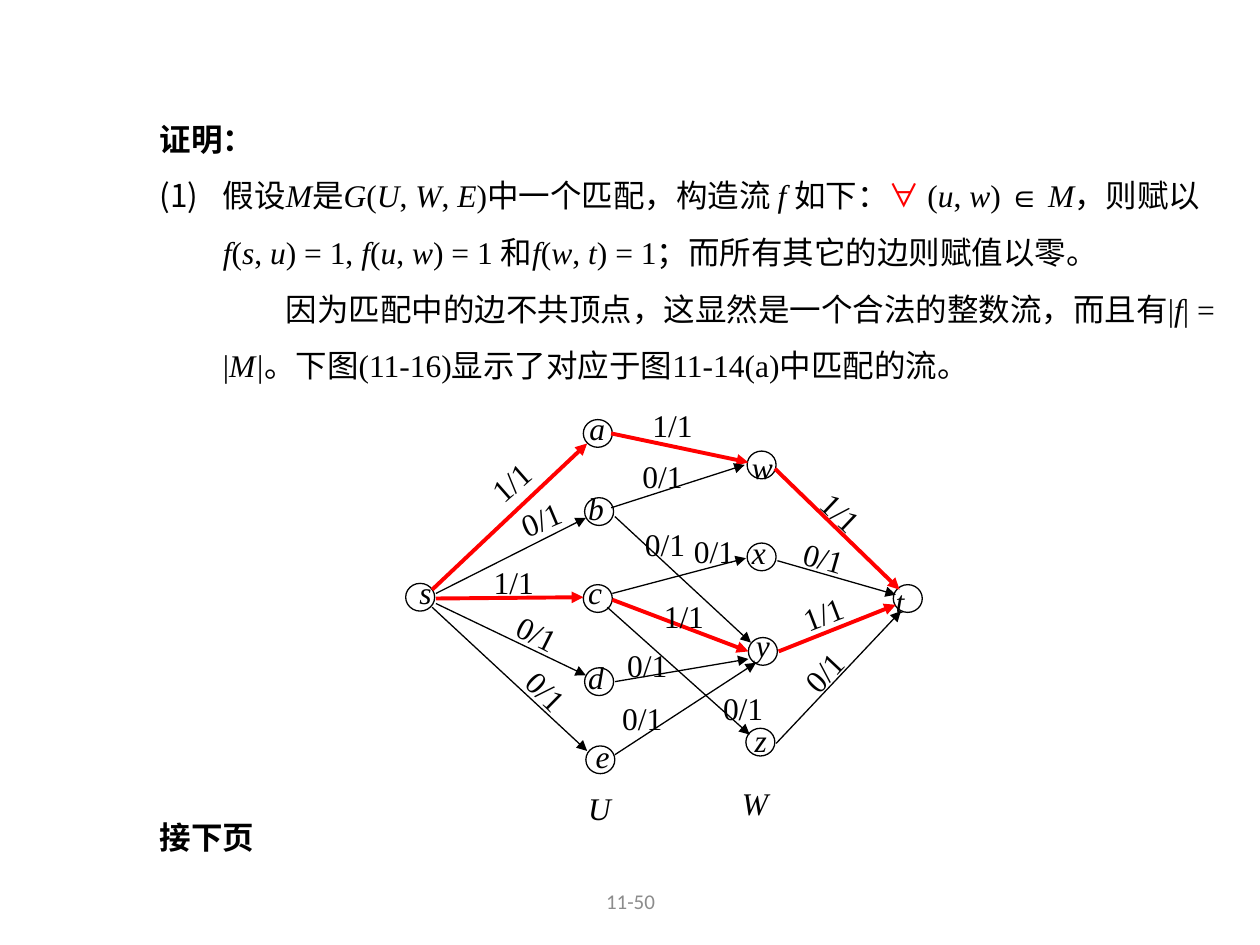
from lxml import etree
from pptx import Presentation
from pptx.dml.color import RGBColor
from pptx.enum.shapes import MSO_CONNECTOR, MSO_SHAPE
from pptx.enum.text import MSO_ANCHOR, MSO_AUTO_SIZE, PP_ALIGN
from pptx.oxml.ns import qn
from pptx.util import Inches, Pt

LINE = MSO_CONNECTOR.STRAIGHT
OVAL = MSO_SHAPE.OVAL
MIDDLE = MSO_ANCHOR.MIDDLE
GROW = MSO_AUTO_SIZE.SHAPE_TO_FIT_TEXT
CENTER = PP_ALIGN.CENTER
COLORS = {"ink": "000000", "flow": "FF0000", "page": "8C8C8C"}
SERIF = "Times New Roman"
SANS = "Calibri"

PROOF = [
    "证明：",
    "假设*M*是*G*(*U*, *W*, *E*)中一个匹配，构造流 *f *如下：**∀ **(*u*, *w*) ∈ *M*，则赋以"
    "*f*(*s*, *u*) = 1, *f*(*u*, *w*) = 1 和*f*(*w*, *t*) = 1；而所有其它的边则赋值以零。",
    "因为匹配中的边不共顶点，这显然是一个合法的整数流，而且有|*f*| = |*M|*"
    "。下图(11-16)显示了对应于图11-14(a)中匹配的流。",
]

# name, circle left and top, label left and top
NODES = [
    ("s", 3.22, 4.63, 3.23, 4.5),
    ("a", 4.63, 3.33, 4.58, 3.2),
    ("b", 4.64, 3.95, 4.57, 3.83),
    ("c", 4.63, 4.64, 4.57, 4.5),
    ("d", 4.64, 5.3, 4.57, 5.17),
    ("e", 4.65, 5.92, 4.63, 5.8),
    ("w", 5.93, 3.58, 5.87, 3.51),
    ("x", 5.93, 4.31, 5.87, 4.18),
    ("y", 5.94, 5.06, 5.9, 4.92),
    ("z", 5.92, 5.78, 5.89, 5.67),
    ("t", 7.09, 4.64, 7.01, 4.57),
]

# flow, start, end, label left and top, label angle
EDGES = [
    (1, (3.43, 4.68), (4.66, 3.52), (3.77, 3.63), 318.7),
    (0, (3.46, 4.71), (4.65, 4.11), (4.02, 3.92), 337.1),
    (1, (3.46, 4.75), (4.63, 4.74), (3.82, 4.42), 0),
    (0, (3.46, 4.79), (4.65, 5.36), (4.02, 4.83), 26.7),
    (0, (3.43, 4.82), (4.66, 5.96), (4.1, 5.3), 44.5),
    (1, (4.85, 3.44), (5.94, 3.67), (5.08, 3.17), 0),
    (0, (4.85, 4.03), (5.91, 3.69), (5, 3.58), 0),
    (0, (4.88, 4.1), (5.96, 5.1), (5.02, 4.12), 0),
    (0, (4.86, 4.71), (5.92, 4.43), (5.41, 4.17), 0),
    (1, (4.86, 4.76), (5.94, 5.17), (5.17, 4.69), 0),
    (0, (4.82, 4.82), (5.95, 5.83), (5.64, 5.42), 0),
    (0, (4.88, 5.41), (5.94, 5.23), (4.88, 5.08), 0),
    (0, (4.88, 5.99), (6, 5.26), (4.84, 5.5), 0),
    (1, (6.15, 3.72), (7.14, 4.68), (6.44, 3.88), 43.3),
    (0, (6.17, 4.45), (7.11, 4.72), (6.29, 4.23), 15.9),
    (1, (6.18, 5.17), (7.11, 4.8), (6.26, 4.67), 339),
    (0, (6.16, 5.9), (7.15, 4.85), (6.25, 5.14), 313.2),
]


def rgb(name):
    return RGBColor.from_string(COLORS[name])


def style(font, face=SERIF, size=18, color="ink", bold=False, italic=False):
    font.name = face
    font.size = Pt(size)
    font.color.rgb = rgb(color)
    font.bold = bold
    font.italic = italic


def add_box(slide, left, top, width, height):
    box = slide.shapes.add_textbox(*map(Inches, (left, top, width, height)))
    box.text_frame.word_wrap = True
    return box


def add_text(slide, text, left, top, width=0.53, height=0.33, **look):
    box = add_box(slide, left, top, width, height)
    box.text_frame.text = text
    style(box.text_frame.paragraphs[0].runs[0].font, **look)
    return box


def add_math(para, text, bold=False):
    for i, part in enumerate(text.split("*")):
        if part:
            run = para.add_run()
            run.text = part
            color = "flow" if "∀" in part else "ink"
            style(run.font, color=color, bold=bold, italic=i % 2 == 1)


def indent(para, first):
    props = para._p.get_or_add_pPr()
    props.set("marL", str(Inches(0.5)))
    props.set("indent", str(Inches(first)))
    return props


def add_proof(slide):
    frame = add_box(slide, 1.17, 0.75, 8.58, 2.37).text_frame
    frame.auto_size = GROW
    for i, text in enumerate(PROOF):
        para = frame.add_paragraph() if i else frame.paragraphs[0]
        para.line_spacing = 1.5
        add_math(para, text, bold=i == 0)
    _, claim, reason = frame.paragraphs
    props = indent(claim, -0.5)
    etree.SubElement(props, qn("a:buAutoNum"), type="arabicParenBoth")
    indent(reason, 0.5)


def add_node(slide, name, left, top, x, y):
    node = slide.shapes.add_shape(OVAL, *map(Inches, (left, top, 0.23, 0.22)))
    node.shadow.inherit = False
    node.fill.background()
    node.line.color.rgb = rgb("ink")
    node.line.width = Pt(0.75)
    add_text(slide, name, x, y, italic=True)


def add_edge(slide, flow, start, end, spot, angle):
    edge = slide.shapes.add_connector(LINE, *map(Inches, start + end))
    edge.line.color.rgb = rgb("flow" if flow else "ink")
    edge.line.width = Pt(2.25 if flow else 0.75)
    etree.SubElement(edge.line._get_or_add_ln(), qn("a:tailEnd"), type="triangle")
    etree.SubElement(edge._element.spPr, qn("a:effectLst"))
    add_text(slide, f"{flow}/1", *spot).rotation = angle


def main():
    deck = Presentation()
    deck.slide_width, deck.slide_height = Inches(10), Inches(7.5)
    slide = deck.slides.add_slide(deck.slide_layouts[6])

    page = add_text(slide, "11-50", 3.42, 6.95, 3.17, 0.4,
                    face=SANS, size=12, color="page").text_frame
    page.vertical_anchor = MIDDLE
    page.paragraphs[0].alignment = CENTER

    add_proof(slide)
    for node in NODES:
        add_node(slide, *node)
    for edge in EDGES:
        add_edge(slide, *edge)
    add_text(slide, "U", 4.57, 6.21, italic=True)
    add_text(slide, "W", 5.79, 6.17, italic=True)
    more = add_text(slide, "接下页", 1.17, 6.44, 1.54, 0.4, face=SANS, bold=True)
    more.text_frame.auto_size = GROW
    deck.save("out.pptx")


if __name__ == "__main__":
    main()
